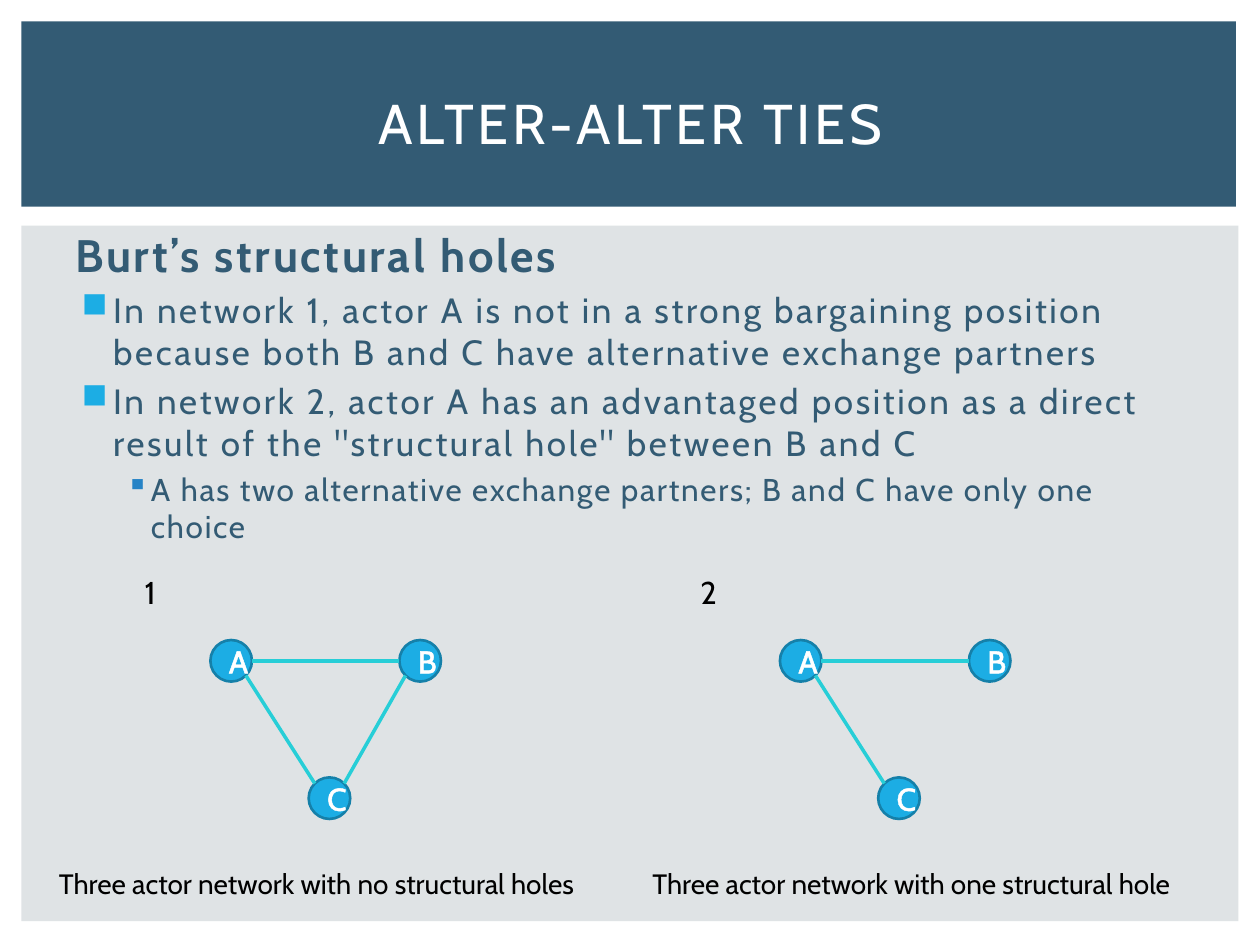
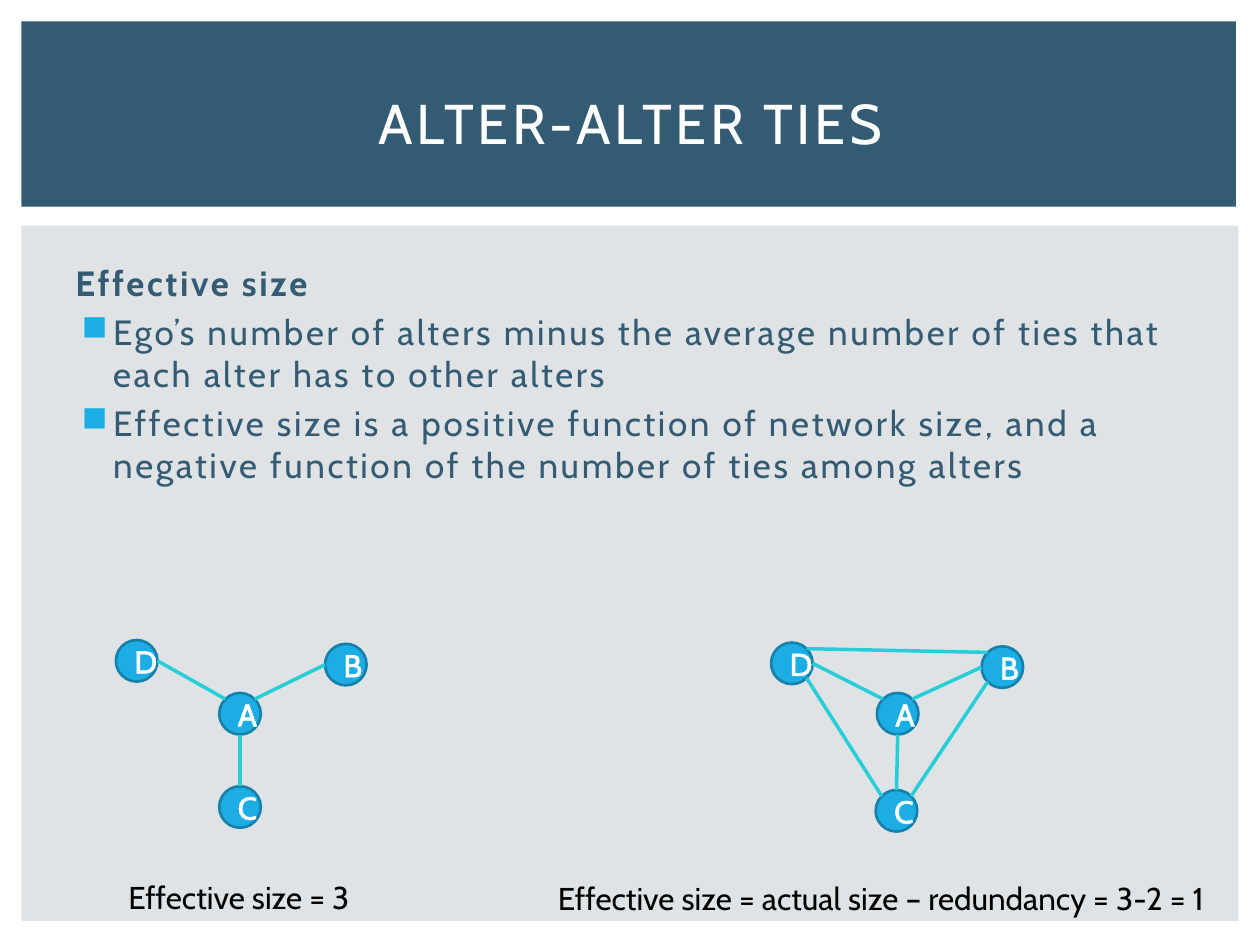
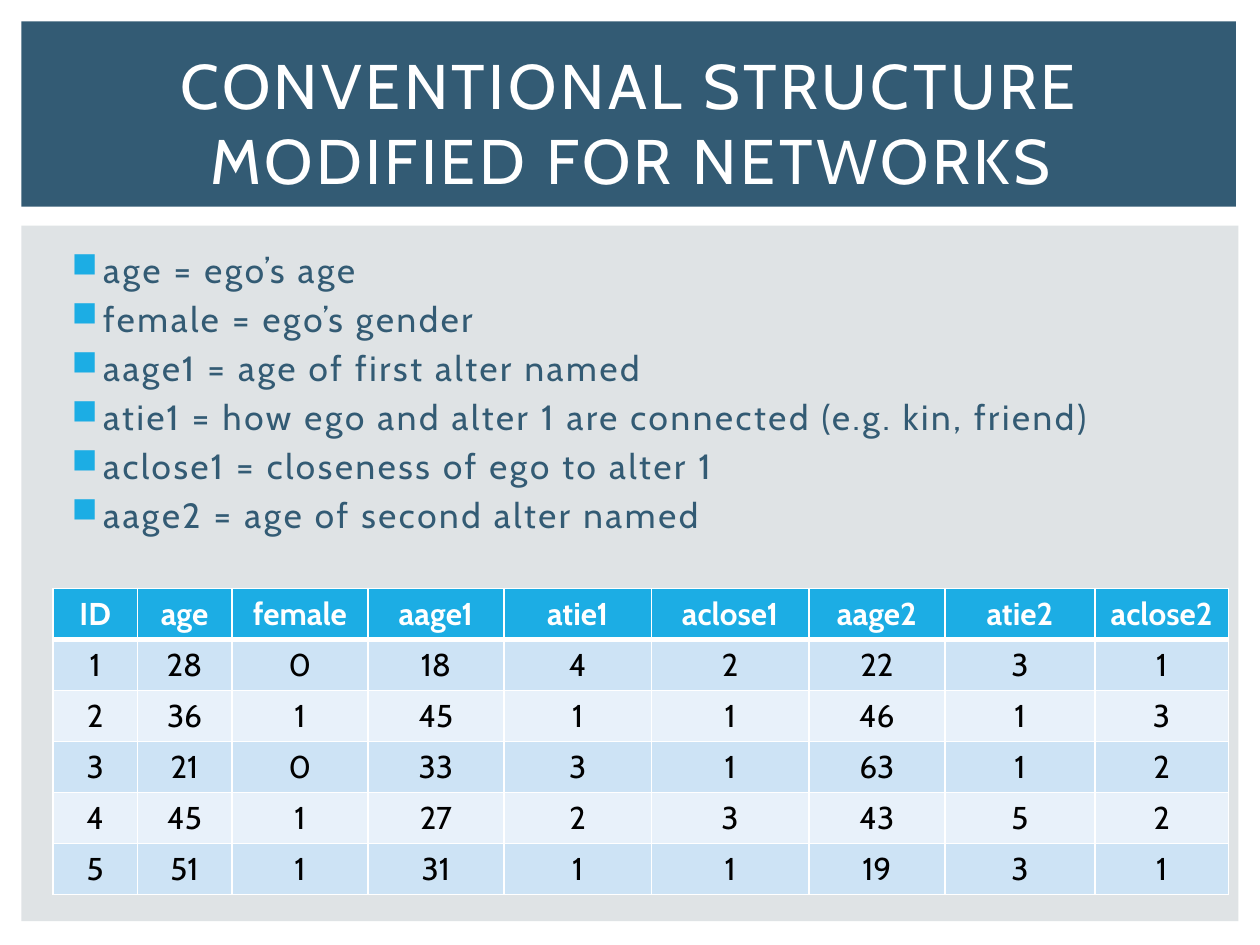
from math import cos, pi, sin

from lxml.etree import SubElement
from pptx import Presentation
from pptx.dml.color import RGBColor
from pptx.enum.shapes import MSO_CONNECTOR, MSO_SHAPE
from pptx.enum.text import MSO_ANCHOR, PP_ALIGN
from pptx.oxml import parse_xml
from pptx.oxml.ns import nsdecls, qn
from pptx.util import Inches, Pt

FONT = "Cabin"
HUES = {
    "band": "335B74", "panel": "DFE3E5", "white": "FFFFFF", "black": "000000",
    "node": "1CADE4", "rim": "1580A9", "edge": "27CED7", "sub": "2683C6",
    "odd": "CDE3F5", "even": "E8F1FA",
}
# Bullet levels: mark, colour, left margin, hanging indent
MARKS = {1: ("■", "node", 0.3, 0.25), 2: ("▪", "sub", 0.6, 0.2)}
# Places on a node's rim, in eighths of a turn clockwise from the right
SITES = {"r": 0, "br": 1, "b": 2, "bl": 3, "l": 4, "tl": 5, "t": 6, "tr": 7}
SIZE = 0.33


def rgb(name):
    return RGBColor.from_string(HUES[name])


def add_run(para, text, size, hue, bold=False, gap=0):
    run = para.add_run()
    run.text = text
    font = run.font
    font.name, font.size, font.bold = FONT, Pt(size), bold
    font.color.rgb = rgb(hue)
    if gap:
        run._r.get_or_add_rPr().set("spc", str(int(gap * 100)))
    return run


def add_text(slide, box):
    frame = slide.shapes.add_textbox(*map(Inches, box)).text_frame
    frame.word_wrap = True
    return frame


def add_rect(slide, box, hue):
    rect = slide.shapes.add_shape(MSO_SHAPE.RECTANGLE, *map(Inches, box))
    rect.shadow.inherit = False
    rect.fill.solid()
    rect.fill.fore_color.rgb = rgb(hue)
    rect.line.fill.background()


def add_base(deck, title, size=32):
    """Add a slide with its panel, band and title."""
    slide = deck.slides.add_slide(deck.slide_layouts[6])
    add_rect(slide, (0.17, 1.79, 9.66, 5.52), "panel")
    add_rect(slide, (0.17, 0.17, 9.64, 1.47), "band")
    frame = add_text(slide, (0.42, 0.39, 9.17, 1.15))
    frame.vertical_anchor = MSO_ANCHOR.MIDDLE
    para = frame.paragraphs[0]
    para.alignment = PP_ALIGN.CENTER
    add_run(para, title, size, "white", gap=2)
    return slide


def add_mark(para, level):
    mark, hue, left, hang = MARKS[level]
    props = para._p.get_or_add_pPr()
    props.set("marL", str(Inches(left)))
    props.set("indent", str(-Inches(hang)))
    if level > 1:
        para.level = level - 1
    color = SubElement(props, qn("a:buClr"))
    SubElement(color, qn("a:srgbClr")).set("val", HUES[hue])
    SubElement(props, qn("a:buChar")).set("char", mark)


def add_body(slide, box, items):
    """Items are (level, size, text); level 0 is a bold heading."""
    frame = add_text(slide, box)
    for i, (level, size, text) in enumerate(items):
        para = frame.add_paragraph() if i else frame.paragraphs[0]
        para.space_before = Pt(size * 0.2)
        if level:
            add_mark(para, level)
        add_run(para, text, size, "band", level == 0, 1 if level == 2 else 1.5)


def add_note(slide, box, text, size=18):
    add_run(add_text(slide, box).paragraphs[0], text, size, "black")


def add_node(group, name, x, y):
    node = group.shapes.add_shape(
        MSO_SHAPE.OVAL, *map(Inches, (x, y, SIZE, SIZE)))
    node.shadow.inherit = False
    node.fill.solid()
    node.fill.fore_color.rgb = rgb("node")
    node.line.color.rgb = rgb("rim")
    node.line.width = Pt(1.5)
    para = node.text_frame.paragraphs[0]
    para.alignment = PP_ALIGN.CENTER
    run = add_run(para, name, 18, "white")
    run._r.get_or_add_rPr().insert(0, make_line("ln", "white", 1.45))


def make_line(tag, hue, width):
    return parse_xml(
        f'<a:{tag} {nsdecls("a")} w="{Pt(width)}"><a:solidFill>'
        f'<a:srgbClr val="{HUES[hue]}"/></a:solidFill></a:{tag}>')


def find_site(spot, site):
    turn = SITES[site] * pi / 4
    half = SIZE / 2
    return [Inches(spot[0] + half + half * cos(turn)),
            Inches(spot[1] + half + half * sin(turn))]


def add_net(slide, left, top, nodes, edges):
    """Edges are words such as "A.r B.l": node and rim place at each end."""
    group = slide.shapes.add_group_shape()
    spots = {name: (left + x, top + y) for name, (x, y) in nodes.items()}
    for name, spot in spots.items():
        add_node(group, name, *spot)
    for edge in edges:
        ends = []
        for end in edge.split():
            name, site = end.split(".")
            ends += find_site(spots[name], site)
        line = group.shapes.add_connector(MSO_CONNECTOR.STRAIGHT, *ends)
        line.line.color.rgb = rgb("edge")
        line.line.width = Pt(2)
        SubElement(line._element.spPr, qn("a:effectLst"))


def add_grid(slide, box, widths, rows):
    shape = slide.shapes.add_table(len(rows), len(widths), *map(Inches, box))
    table = shape.table
    for col, width in zip(table.columns, widths):
        col.width = Inches(width)
    for i, row in enumerate(rows):
        fill = "node" if i == 0 else "odd" if i % 2 else "even"
        for j, text in enumerate(row):
            cell = table.cell(i, j)
            cell.fill.solid()
            cell.fill.fore_color.rgb = rgb(fill)
            para = cell.text_frame.paragraphs[0]
            para.alignment = PP_ALIGN.CENTER
            add_run(para, text, 18, "black" if i else "white", i == 0)
            above, below = 3 if i == 1 else 1, 1 if i else 3
            sides = (("lnL", 1), ("lnR", 1), ("lnT", above), ("lnB", below))
            for k, (side, width) in enumerate(sides):
                cell._tc.get_or_add_tcPr().insert(
                    k, make_line(side, "white", width))


def add_holes(deck):
    slide = add_base(deck, "ALTER-ALTER TIES")
    add_body(slide, (0.5, 1.75, 9, 2.67), [
        (0, 26, "Burt’s structural holes"),
        (1, 20, "In network 1, actor A is not in a strong bargaining position "
                "because both B and C have alternative exchange partners"),
        (1, 20, "In network 2, actor A has an advantaged position as a direct "
                'result of the "structural hole" between B and C'),
        (2, 18, "A has two alternative exchange partners; "
                "B and C have only one choice"),
    ])
    nodes = {"A": (0, 0), "B": (1.5, 0), "C": (0.78, 1.09)}
    ties = ["A.r B.l", "A.br C.tl"]
    nets = [
        ("1", 1.05, 1.67, 0.37, "no structural holes", ties + ["C.tr B.bl"]),
        ("2", 5.46, 6.19, 5.08, "one structural hole", ties),
    ]
    for num, tag, left, note, kind, edges in nets:
        add_note(slide, (note, 6.83, 4.83, 0.37),
                 "Three actor network with " + kind, 16)
        add_note(slide, (tag, 4.5, 0.42, 0.4), num)
        add_net(slide, left, 5.08, nodes, edges)


def add_sizes(deck):
    slide = add_base(deck, "ALTER-ALTER TIES")
    add_body(slide, (0.5, 2.03, 9, 2.63), [
        (0, 20, "Effective size"),
        (1, 20, "Ego’s number of alters minus the average number of ties "
                "that each alter has to other alters"),
        (1, 20, "Effective size is a positive function of network size, and "
                "a negative function of the number of ties among alters"),
    ])
    add_note(slide, (0.92, 6.92, 2.17, 0.4), "Effective size = 3")
    add_note(slide, (4.33, 6.93, 5.58, 0.4),
             "Effective size = actual size – redundancy = 3-2 = 1")
    spokes = ["A.tr B.l", "A.b C.t", "A.tl D.r"]
    add_net(slide, 0.92, 5.08, {
        "A": (0.82, 0.42), "B": (1.66, 0.03), "C": (0.82, 1.16), "D": (0, 0),
    }, spokes)
    add_net(slide, 6.12, 5.1, {
        "A": (0.84, 0.4), "B": (1.67, 0.03), "C": (0.83, 1.17), "D": (0, 0),
    }, spokes + ["B.bl C.tr", "B.tl D.tr", "C.tl D.br"])


def add_data(deck):
    slide = add_base(deck, "CONVENTIONAL STRUCTURE MODIFIED FOR NETWORKS", 36)
    terms = [
        "age = ego’s age",
        "female = ego’s gender",
        "aage1 = age of first alter named",
        "atie1 = how ego and alter 1 are connected (e.g. kin, friend)",
        "aclose1 = closeness of ego to alter 1",
        "aage2 = age of second alter named",
    ]
    add_body(slide, (0.42, 1.92, 9.17, 2.75), [(1, 20, t) for t in terms])
    rows = [
        "ID age female aage1 atie1 aclose1 aage2 atie2 aclose2",
        "1 28 0 18 4 2 22 3 1",
        "2 36 1 45 1 1 46 1 3",
        "3 21 0 33 3 1 63 1 2",
        "4 45 1 27 2 3 43 5 2",
        "5 51 1 31 1 1 19 3 1",
    ]
    widths = (0.67, 0.75, 1.08, 1.08, 1.17, 1.25, 1.08, 1.19, 1.06)
    add_grid(slide, (0.42, 4.67, 9.33, 2.43), widths,
             [row.split() for row in rows])


def main():
    deck = Presentation()
    deck.slide_width, deck.slide_height = Inches(10), Inches(7.5)
    add_holes(deck)
    add_sizes(deck)
    add_data(deck)
    deck.save("out.pptx")


if __name__ == "__main__":
    main()
